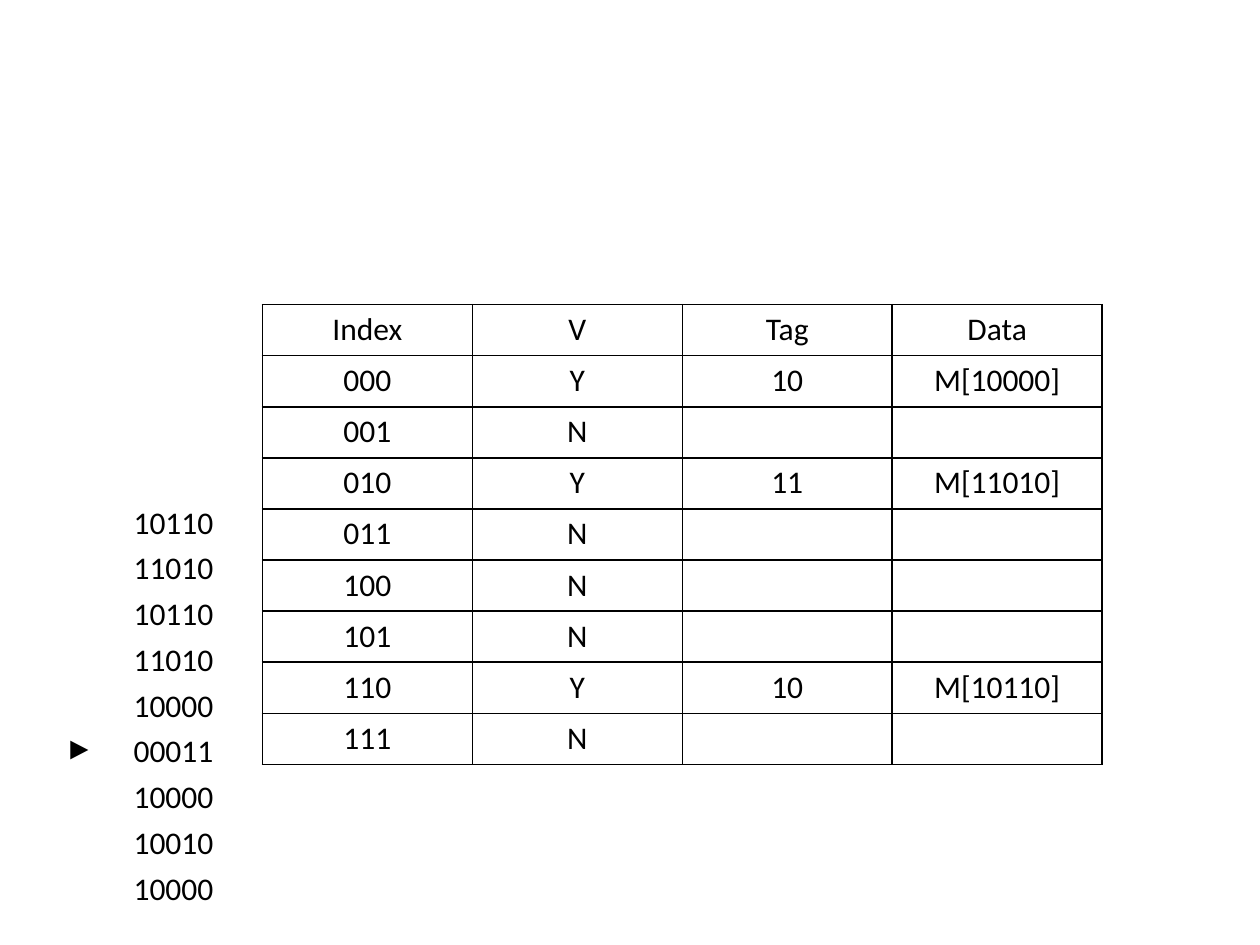
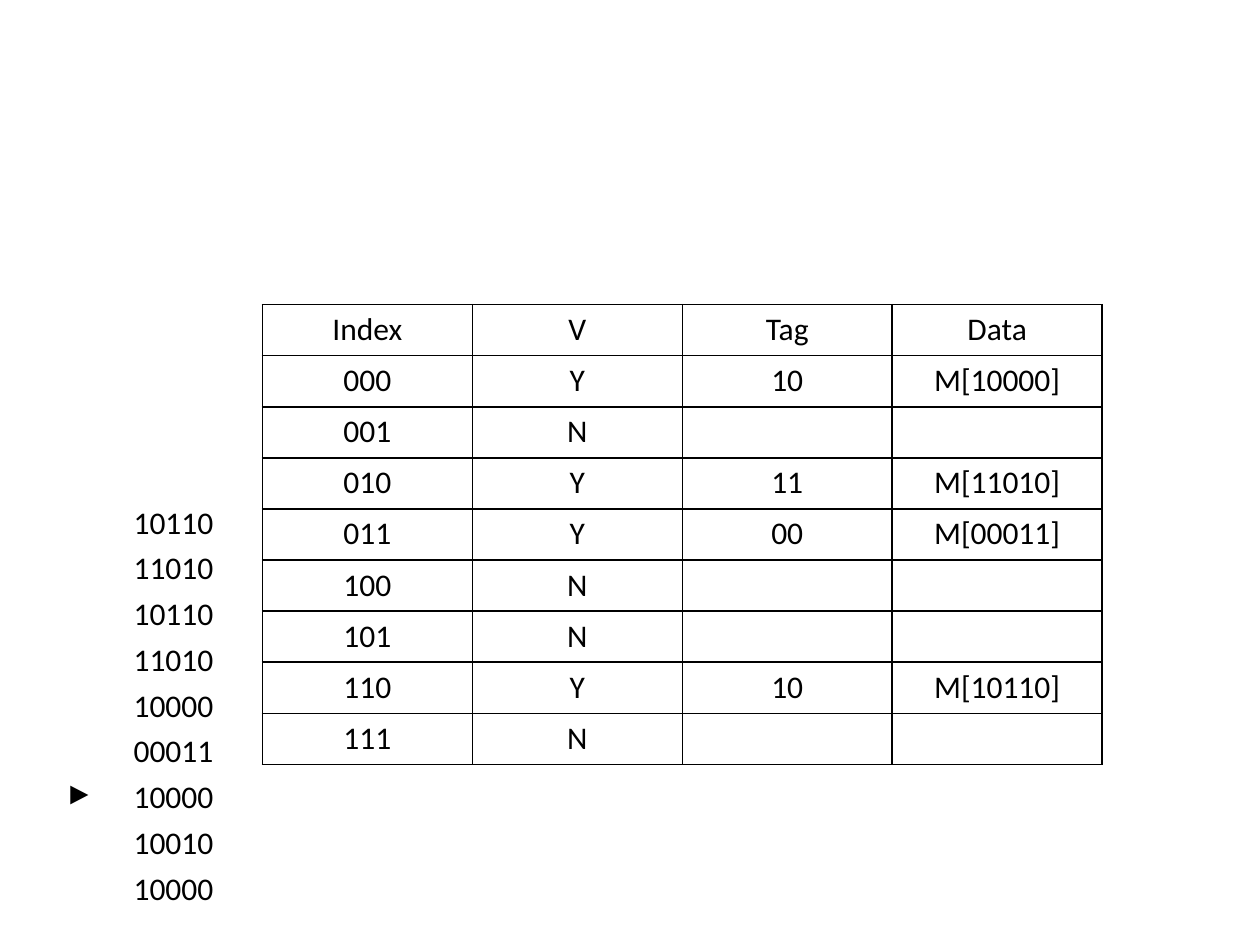
from dataclasses import dataclass

from lxml.etree import SubElement
from pptx import Presentation
from pptx.dml.color import RGBColor
from pptx.enum.text import MSO_ANCHOR, PP_ALIGN
from pptx.oxml.ns import qn
from pptx.util import Cm, Pt

INK = "000000"
TEXT_FONT = "Calibri"
MARKER_FONT = "Courier New"
MARKER = "►"
PLAIN_TABLE_STYLE = "{2D5ABB26-0587-4C30-8999-92F81FD0307C}"

ADDRESSES = ["10110", "11010", "10110", "11010", "10000",
             "00011", "10000", "10010", "10000"]
CACHE_HEADINGS = ["Index", "V", "Tag", "Data"]
INDEX_BITS = 3
NEXT_ACCESSES = [5, 6]  # the access marked on each slide


@dataclass(frozen=True)
class Grid:
    """Place of a table in cm, its cell insets and its rule width in points."""
    left: float
    top: float
    width: float
    height: float
    inset_x: float = 0
    inset_y: float = 0
    rule: float = 0


CACHE_GRID = Grid(5.29, 6.14, 16.93, 9.27, inset_x=0.25, inset_y=0.12, rule=1)
ADDRESS_GRID = Grid(0.64, 10.16, 3.81, 8.31)


def color(hex_value: str) -> RGBColor:
    return RGBColor.from_string(hex_value)


def rule_cells(table_element, width: float) -> None:
    """Draw a solid line on all four sides of every cell."""
    for properties in table_element.iter(qn("a:tcPr")):
        for position, side in enumerate(("a:lnL", "a:lnR", "a:lnT", "a:lnB")):
            line = SubElement(properties, qn(side), w=str(Pt(width)))
            fill = SubElement(line, qn("a:solidFill"))
            SubElement(fill, qn("a:srgbClr"), val=INK)
            properties.insert(position, line)


def add_grid(slide, grid: Grid, rows: list[list[str]]) -> None:
    frame = slide.shapes.add_table(
        len(rows), len(rows[0]),
        Cm(grid.left), Cm(grid.top), Cm(grid.width), Cm(grid.height))
    table = frame.table
    table.first_row = table.horz_banding = False
    for style in frame.element.iter(qn("a:tableStyleId")):
        style.text = PLAIN_TABLE_STYLE

    for row_number, row in enumerate(rows):
        for column_number, text in enumerate(row):
            cell = table.cell(row_number, column_number)
            cell.fill.background()
            cell.vertical_anchor = MSO_ANCHOR.TOP
            cell.margin_left = cell.margin_right = Cm(grid.inset_x)
            cell.margin_top = cell.margin_bottom = Cm(grid.inset_y)
            cell.text = text
            paragraph = cell.text_frame.paragraphs[0]
            paragraph.alignment = PP_ALIGN.CENTER
            paragraph.font.size = Pt(18)
            paragraph.font.name = MARKER_FONT if text == MARKER else TEXT_FONT
            paragraph.font.color.rgb = color(INK)

    if grid.rule:
        rule_cells(frame.element, grid.rule)


def cache_rows(accessed: list[str]) -> list[list[str]]:
    """State of the direct-mapped cache after the given accesses."""
    tags = {address[-INDEX_BITS:]: address[:-INDEX_BITS] for address in accessed}
    rows = [CACHE_HEADINGS]
    for number in range(2 ** INDEX_BITS):
        index = f"{number:0{INDEX_BITS}b}"
        if index in tags:
            rows.append([index, "Y", tags[index], f"M[{tags[index]}{index}]"])
        else:
            rows.append([index, "N", "", ""])
    return rows


def address_rows(next_access: int) -> list[list[str]]:
    return [[MARKER if number == next_access else "", address]
            for number, address in enumerate(ADDRESSES)]


def main() -> None:
    presentation = Presentation()
    presentation.slide_width, presentation.slide_height = Cm(25.4), Cm(19.05)
    blank_layout = presentation.slide_layouts[6]

    for next_access in NEXT_ACCESSES:
        slide = presentation.slides.add_slide(blank_layout)
        # Cache contents, then the address sequence with its marker
        add_grid(slide, CACHE_GRID, cache_rows(ADDRESSES[:next_access]))
        add_grid(slide, ADDRESS_GRID, address_rows(next_access))

    presentation.save("out.pptx")


if __name__ == "__main__":
    main()
